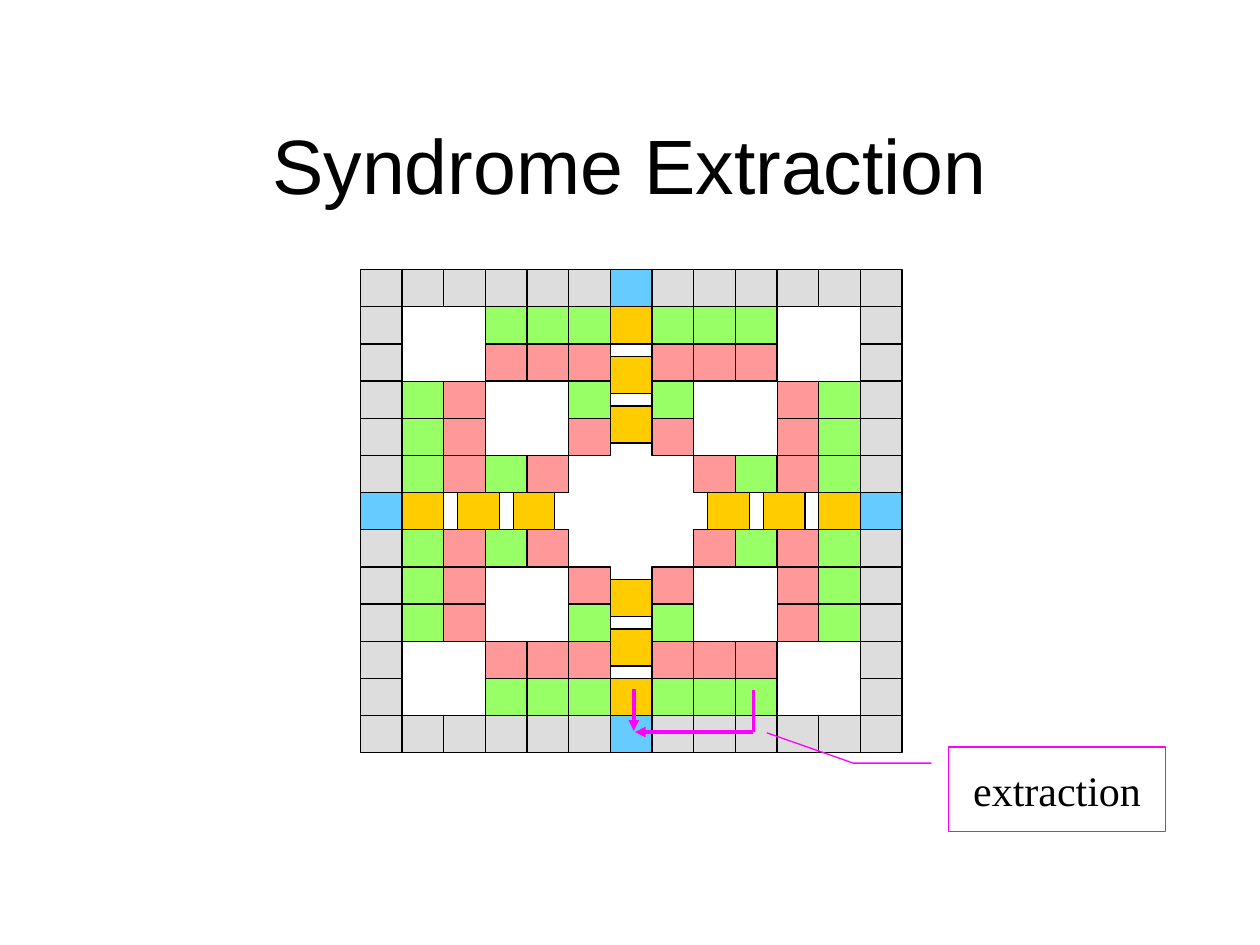
from lxml.etree import SubElement
from pptx import Presentation
from pptx.dml.color import RGBColor
from pptx.enum.shapes import MSO_CONNECTOR as Link, MSO_SHAPE as Kind
from pptx.enum.text import MSO_ANCHOR as Anchor, PP_ALIGN as Align
from pptx.oxml.ns import qn
from pptx.util import Inches, Pt

BLACK, PINK, GOLD = "000000", "FF00FF", "FFCC00"
TINTS = {"x": "DDDDDD", "b": "66CCFF", "g": "99FF66", "r": "FF9999"}

# Upper half of the lattice; the lower half mirrors it around the middle row.
HALF = [
    "xxxxxxbxxxxxx",
    "x..ggg.ggg..x",
    "x..rrr.rrr..x",
    "xgr..g.g..rgx",
    "xgr..r.r..rgx",
    "xgrgr...rgrgx",
]
ROWS = HALF + ["b...........b"] + HALF[::-1]
LEFT, TOP = 2.86, 2.14
LAST = len(ROWS) - 1
MID = LAST / 2
WIDE, HIGH = 3.97 / LAST, 3.54 / LAST


def color(code):
    return RGBColor.from_string(code)


class Painter:
    text_style = {"size": Pt(24), "name": "Times New Roman"}
    title_style = {"size": Pt(44), "name": "Arial"}

    def __init__(self, slide):
        self.slide = slide
        self.shapes = slide.shapes
        self.grid = slide.shapes.add_group_shape()

    def stroke(self, item, code, width):
        item.line.color.rgb = color(code)
        item.line.width = Pt(width)

    def label(self, item, words, style):
        frame = item.text_frame
        frame.word_wrap = True
        frame.vertical_anchor = Anchor.MIDDLE
        para = frame.paragraphs[0]
        para.text = words
        para.alignment = Align.CENTER
        for key, value in style.items():
            setattr(para.font, key, value)
        para.font.color.rgb = color(BLACK)

    def cell(self, col, row, code):
        """Place one cell at a lattice position, which may be fractional."""
        box = self.grid.shapes.add_shape(
            Kind.RECTANGLE, Inches(LEFT + col * WIDE), Inches(TOP + row * HIGH),
            Inches(WIDE), Inches(HIGH))
        box.shadow.inherit = False
        box.fill.solid()
        box.fill.fore_color.rgb = color(code)
        self.stroke(box, BLACK, 0.75)

    def title(self, words, *place):
        box = self.shapes.add_textbox(*map(Inches, place))
        self.label(box, words, self.title_style)

    def line(self, *ends, arrow=False):
        line = self.shapes.add_connector(Link.STRAIGHT, *map(Inches, ends))
        self.stroke(line, PINK, 2)
        props = line._element.spPr
        if arrow:
            SubElement(props.find(qn("a:ln")), qn("a:tailEnd"), type="triangle")
        SubElement(props, qn("a:effectLst"))

    def callout(self, words, place, bends):
        box = self.shapes.add_shape(Kind.LINE_CALLOUT_2, *map(Inches, place))
        for index, bend in enumerate(bends):
            box.adjustments[index] = bend
        box.shadow.inherit = False
        box.fill.background()
        self.stroke(box, PINK, 0.75)
        self.label(box, words, self.text_style)


def main():
    deck = Presentation()
    deck.slide_width, deck.slide_height = Inches(10), Inches(7.5)
    paint = Painter(deck.slides.add_slide(deck.slide_layouts[6]))

    for row, marks in enumerate(ROWS):
        for col, mark in enumerate(marks):
            if mark in TINTS:
                paint.cell(col, row, TINTS[mark])

    # Three spaced cells run inward from the middle of every side.
    for step in range(3):
        near = 1 + step * 4 / 3
        for spot in (near, LAST - near):
            paint.cell(MID, spot, GOLD)
            paint.cell(spot, MID, GOLD)

    paint.title("Syndrome Extraction", 0.75, 0.67, 8.5, 1.25)
    paint.line(5.98, 5.81, 5.04, 5.81, arrow=True)
    paint.line(5.98, 5.81, 5.98, 5.48)
    paint.callout("extraction", (7.53, 5.93, 1.72, 0.67),
                  (0.19, -0.08, 0.19, -0.44, -0.17, -0.84))
    paint.line(5.03, 5.47, 5.03, 5.8, arrow=True)
    deck.save("out.pptx")


if __name__ == "__main__":
    main()
